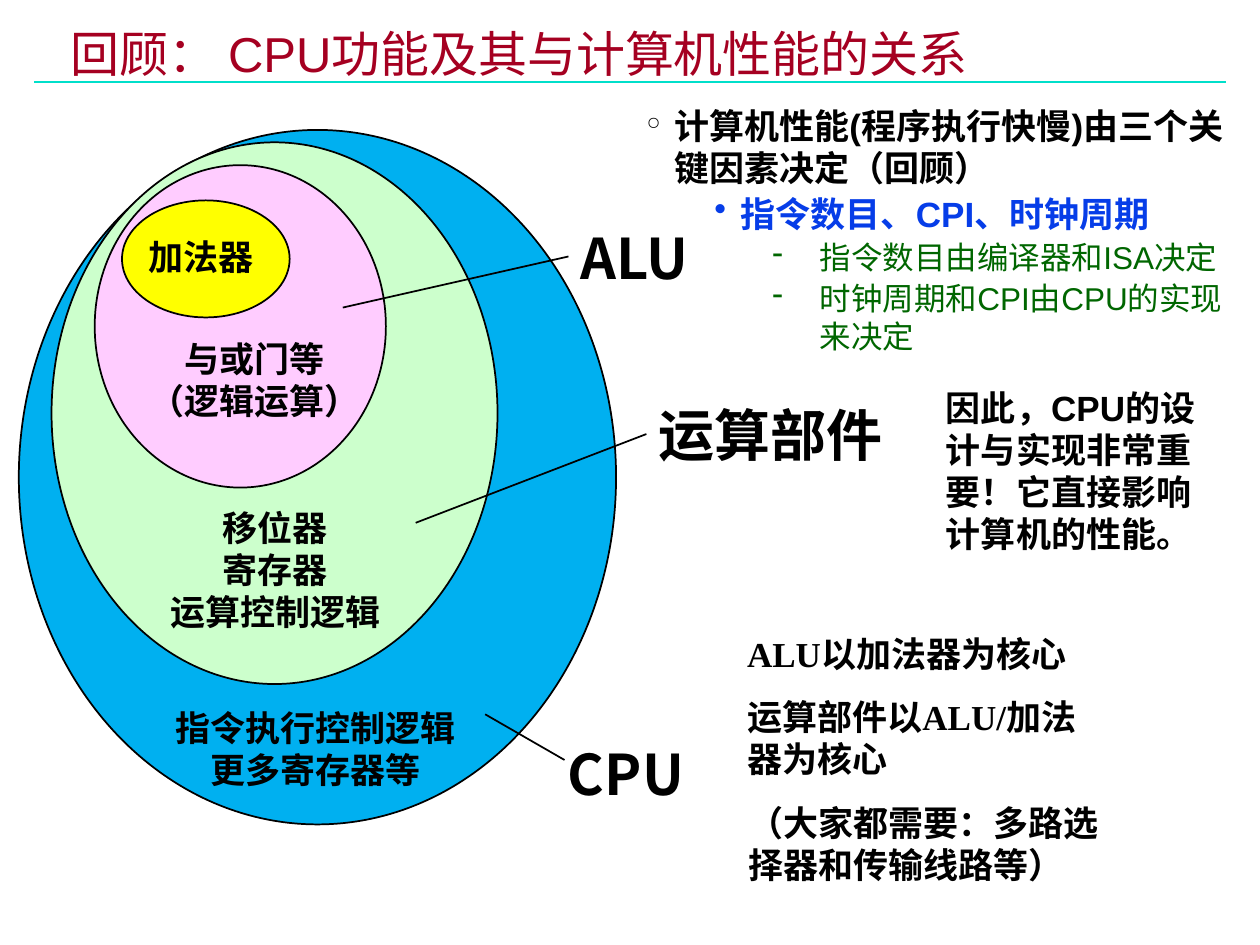
from dataclasses import dataclass

from lxml.etree import SubElement
from pptx import Presentation
from pptx.dml.color import RGBColor
from pptx.enum.shapes import MSO_CONNECTOR, MSO_SHAPE
from pptx.enum.text import PP_ALIGN
from pptx.oxml.ns import qn
from pptx.util import Cm, Pt


@dataclass(frozen=True)
class Theme:
    """Colours, fonts and type sizes of the slide."""
    black: str = "000000"
    title: str = "A50021"
    rule: str = "00DFCA"
    factor: str = "063DE8"
    detail: str = "006600"
    cpu: str = "00B0F0"
    unit: str = "CCFFCC"
    alu: str = "FFCCFF"
    adder: str = "FFFF00"
    sans: str = "Arial"
    serif: str = "Times New Roman"
    chinese: str = "Noto Sans CJK SC"
    title_size: int = 28
    label_size: int = 32
    body_size: int = 20
    detail_size: int = 18


THEME = Theme()


def apply(target, values):
    """Set every attribute of the target named in a dict of values."""
    for name, value in values.items():
        setattr(target, name, value)


def style_run(run, name, size, color, bold):
    """Give a run its Latin and Chinese fonts, size, colour and weight."""
    apply(run.font, {"name": name, "size": Pt(size), "bold": bold})
    run.font.color.rgb = RGBColor.from_string(color)
    SubElement(run.font._element, qn("a:ea"), typeface=THEME.chinese)


def add_text(slide, box, lines, name=THEME.serif, size=THEME.body_size, color=THEME.black,
             bold=True, margins=(0.25, 0.13), wrap=True, **paragraph_values):
    """Add a text box with one paragraph per line."""
    shape = slide.shapes.add_textbox(*map(Cm, box))
    frame = shape.text_frame
    across, down = map(Cm, margins)
    apply(frame, {"word_wrap": wrap, "margin_left": across, "margin_right": across,
                  "margin_top": down, "margin_bottom": down})
    for index, line in enumerate(lines):
        paragraph = frame.paragraphs[0] if index == 0 else frame.add_paragraph()
        apply(paragraph, paragraph_values)
        if index == 0:
            paragraph.space_before = Pt(0)
        run = paragraph.add_run()
        run.text = line
        style_run(run, name, size, color, bold)
    return shape


def add_line(slide, start, end, color=THEME.black, width=1):
    """Add a straight line without a shadow."""
    line = slide.shapes.add_connector(MSO_CONNECTOR.STRAIGHT, *map(Cm, (*start, *end)))
    line.line.color.rgb = RGBColor.from_string(color)
    line.line.width = Pt(width)
    SubElement(line._element.spPr, qn("a:effectLst"))
    return line


def add_ellipse(slide, box, color):
    """Add a filled ellipse with a thin black outline."""
    shape = slide.shapes.add_shape(MSO_SHAPE.OVAL, *map(Cm, box))
    shape.shadow.inherit = False
    shape.fill.solid()
    shape.fill.fore_color.rgb = RGBColor.from_string(color)
    shape.line.color.rgb = RGBColor.from_string(THEME.black)
    shape.line.width = Pt(1)


def add_header(slide, left, top, width, height):
    """Place the rule and the title over it."""
    add_line(slide, (left, top + 1.09), (left + width, top + 1.09), THEME.rule, 1.5)
    add_text(slide, (left + 0.55, top, 20.83, height), ["回顾： CPU功能及其与计算机性能的关系"],
             THEME.sans, THEME.title_size, THEME.title, False, (0.18, 0.08), line_spacing=0.87)


def add_nested_diagram(slide, left, top, width, height):
    """Place the nested ellipses, their contents and the labels pointing at them."""
    def place(x, y, *size):
        return (left + x, top + y, *size)

    ellipses = [
        ((0, 0, width, height), THEME.cpu),
        ((0.66, 0.25, 8.99, 10.92), THEME.unit),
        ((1.53, 0.71, 5.87, 6.5), THEME.alu),
        ((2.08, 1.42, 3.38, 2.36), THEME.adder),
    ]
    contents = [
        ((2.67, 11.5, 6.63, 1.96), ["指令执行控制逻辑", "更多寄存器等"], True),
        ((2.44, 7.46, 5.46, 2.79), ["移位器", "寄存器", "运算控制逻辑"], True),
        ((2.03, 4.06, 5.46, 1.96), ["与或门等", "（逻辑运算）"], True),
        ((2.36, 2.0, 2.62, 1.09), ["加法器"], False),
    ]
    labels = [
        ("ALU", (11.08, 1.75, 3.05, 1.6), (6.53, 3.58), (11.08, 2.55), True),
        ("运算部件", (12.65, 5.33, 5.28, 1.6), (8, 7.92), (12.65, 6.13), True),
        ("CPU", (10.82, 12.16, 5.28, 1.6), (9.4, 11.78), (11, 12.7), False),
    ]
    for box, color in ellipses:
        add_ellipse(slide, place(*box), color)
    for box, lines, wrap in contents:
        add_text(slide, place(*box), lines, wrap=wrap, alignment=PP_ALIGN.CENTER)
    for text, box, start, end, joined in labels:
        label = add_text(slide, place(*box), [text], THEME.chinese, THEME.label_size)
        line = add_line(slide, place(*start), place(*end))
        if joined:
            line.end_connect(label, 1)


def add_factor_list(slide, left, top, width, height):
    """Place the bulleted list of performance factors."""
    levels = [
        ("°", 0.56, 0.56, THEME.body_size, THEME.black, True),
        ("•", 1.9, 0.53, THEME.body_size, THEME.factor, True),
        ("-", 3.5, 0.96, THEME.detail_size, THEME.detail, False),
    ]
    items = [
        (0, "计算机性能(程序执行快慢)由三个关键因素决定（回顾）"),
        (1, "指令数目、CPI、时钟周期"),
        (2, "指令数目由编译器和ISA决定"),
        (2, "时钟周期和CPI由CPU的实现来决定"),
    ]
    shape = add_text(slide, (left, top, width, height), [text for _, text in items],
                     THEME.sans, margins=(0.18, 0.08), space_before=Pt(2))
    for paragraph, (level, _) in zip(shape.text_frame.paragraphs, items):
        bullet, margin, hanging, size, color, bold = levels[level]
        paragraph.level = level
        properties = paragraph._p.get_or_add_pPr()
        properties.set("marL", str(Cm(margin)))
        properties.set("indent", str(-Cm(hanging)))
        SubElement(properties, qn("a:buChar"), char=bullet)
        font = paragraph.runs[0].font
        apply(font, {"size": Pt(size), "bold": bold})
        font.color.rgb = RGBColor.from_string(color)


def add_conclusions(slide, left, top):
    """Place the three remarks under the list."""
    add_text(slide, (left + 4.01, top, 5.72, 3.63),
             ["因此，CPU的设计与实现非常重要！它直接影响计算机的性能。"], THEME.sans)
    add_text(slide, (left, top + 4.95, 7.29, 3.23),
             ["ALU以加法器为核心", "运算部件以ALU/加法器为核心"], space_before=Pt(12))
    add_text(slide, (left + 0.02, top + 8.36, 7.95, 1.96),
             ["（大家都需要：多路选择器和传输线路等）"])


def main():
    """Build and save the slide."""
    presentation = Presentation()
    apply(presentation, {"slide_width": Cm(25.4), "slide_height": Cm(19.05)})
    slide = presentation.slides.add_slide(presentation.slide_layouts[6])
    add_header(slide, 0.69, 0.56, 24.02, 1.17)
    add_nested_diagram(slide, 0.38, 2.62, 12.04, 14)
    add_factor_list(slide, 12.85, 2.03, 12.55, 6.12)
    add_conclusions(slide, 14.81, 7.67)
    presentation.save("out.pptx")


if __name__ == "__main__":
    main()
